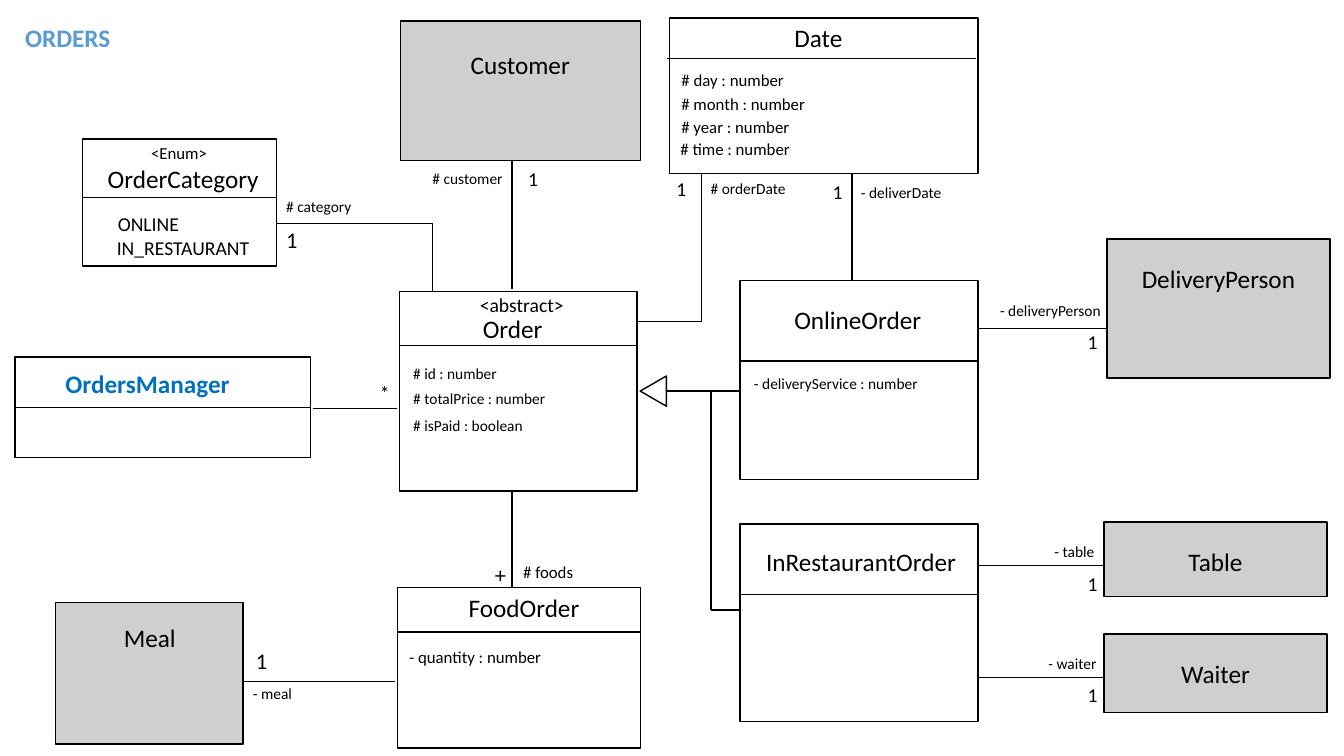
from lxml import etree
from pptx import Presentation
from pptx.dml.color import RGBColor
from pptx.enum import shapes, text
from pptx.oxml.ns import qn
from pptx.util import Inches, Pt

BLACK = RGBColor(0x00, 0x00, 0x00)
WHITE = RGBColor(0xFF, 0xFF, 0xFF)
GRAY = RGBColor(0xD0, 0xCE, 0xCE)
BLUE = RGBColor(0x00, 0x70, 0xC0)
LIGHT_BLUE = RGBColor(0x5B, 0x9B, 0xD5)

HEIGHTS = {18: 0.4, 16: 0.37, 14: 0.34, 12: 0.3, 11: 0.29}

# Each class: box, fill, divider offset (or None), labels.
# Label: dx, dy, width, wording, size, optional format values.
NO_WRAP = {"wrap": False}
CENTER = {"align": text.PP_ALIGN.CENTER}
CLASSES = [
    ((3.96, 2.89, 2.36, 1.98), WHITE, (0, 0.54), [
        (0.73, 0.17, 0.8, "Order", 18, NO_WRAP),
        (0.7, -0.03, 1.05, "<abstract>", 14, NO_WRAP),
        (0.04, 0.67, 2.07, "# id : number", 11),
        (0.04, 0.92, 2.07, "# totalPrice : number", 11),
        (0.04, 1.19, 2.07, "# isPaid : boolean", 11)]),
    ((0.15, 3.54, 2.93, 1), WHITE, (0, 0.5), [
        (0.4, 0.07, 1.84, "OrdersManager", 18,
         {"wrap": False, "bold": True, "color": BLUE})]),
    ((0.55, 5.98, 1.86, 1.4), GRAY, None, [
        (0.58, 0.14, 0.72, "Meal", 18, NO_WRAP)]),
    ((3.97, 0.21, 2.38, 1.38), GRAY, None, [
        (0.6, 0.23, 1.53, "Customer", 18)]),
    ((7.34, 5.2, 2.36, 1.96), WHITE, (0.01, 0.7), [
        (0.16, 0.17, 2.1, "InRestaurantOrder", 18, NO_WRAP)]),
    ((7.34, 2.78, 2.36, 1.98), WHITE, (0.01, 0.8), [
        (0.44, 0.19, 1.47, "OnlineOrder", 18, NO_WRAP),
        (0.04, 0.88, 2.13, "- deliveryService : number", 11)]),
    ((10.98, 2.37, 2.21, 1.38), GRAY, None, [
        (0, 0.19, 2.21, "DeliveryPerson", 18, CENTER)]),
    ((3.94, 5.83, 2.41, 1.59), WHITE, (0.01, 0.44), [
        (0.61, 0, 1.44, "FoodOrder", 18),
        (0.02, 0.54, 1.81, "- quantity : number", 12)]),
    ((10.95, 5.18, 2.21, 0.74), GRAY, None, [
        (0, 0.19, 2.21, "Table", 18, CENTER)]),
    ((10.95, 6.29, 2.21, 0.78), GRAY, None, [
        (0, 0.19, 2.21, "Waiter", 18, CENTER)]),
    ((0.82, 1.38, 1.92, 1.26), WHITE, (0, 0.58), [
        (0.15, 0.19, 1.71, "OrderCategory", 18, NO_WRAP),
        (0.58, -0.01, 0.92, "<Enum>", 12),
        (0.25, 0.67, 1.25, "ONLINE", 14),
        (0.24, 0.91, 1.62, "IN_RESTAURANT", 14)]),
    ((6.64, 0.18, 3.06, 1.54), WHITE, (-0.02, 0.4), [
        (1.14, -0.01, 1.55, "Date", 18),
        (0.02, 0.46, 1.59, "# day : number", 12),
        (0.02, 0.7, 1.87, "# month : number", 12),
        (0.02, 0.93, 1.66, "# year : number", 12),
        (0.01, 1.15, 1.88, "# time : number", 12)]),
]

# Each association: corner points of its line, then labels offset from the first point.
ASSOCIATIONS = [
    ([(2.41, 6.76), (3.92, 6.76)],
     [(0.03, -0.39, 0.31, "1", 16), (0, -0.02, 0.75, "- meal", 11)]),
    ([(3.1, 4.05), (3.94, 4.05)], [(0.57, -0.32, 0.35, "*", 14)]),
    ([(9.71, 3.26), (10.98, 3.26)],
     [(0.98, -0.04, 0.3, "1", 14), (0.11, -0.32, 1.24, "- deliveryPerson", 11)]),
    ([(5.08, 1.59), (5.08, 2.87)],
     [(-0.89, 0.04, 1.22, "# customer", 11), (0.06, 0.02, 0.39, "1", 14)]),
    ([(5.08, 4.87), (5.08, 5.83)],
     [(-0.27, 0.65, 0.35, "+", 16), (0.01, 0.65, 1.81, "# foods", 12)]),
    ([(9.7, 5.61), (10.95, 5.61)],
     [(0.99, 0.01, 0.3, "1", 14), (0.66, -0.28, 1.18, "- table", 11)]),
    ([(9.7, 6.72), (10.95, 6.72)],
     [(0.99, 0.01, 0.3, "1", 14), (0.6, -0.28, 1.18, "- waiter", 11)]),
    ([(2.74, 2.22), (4.29, 2.22), (4.29, 2.89)],
     [(0, -0.03, 0.31, "1", 16), (0, -0.31, 0.9, "# category", 11)]),
    ([(6.96, 1.72), (6.96, 3.19), (6.32, 3.19)],
     [(-0.35, -0.01, 0.3, "1", 14), (-0.01, 0.01, 1, "# orderDate", 11)]),
    ([(8.45, 1.73), (8.45, 2.78)],
     [(-0.29, 0.01, 0.3, "1", 14), (-0.01, 0.04, 1.09, "- deliverDate", 11)]),
]


def add_label(slide, x, y, w, wording, size, style=None):
    style = style or {}
    sp = slide.shapes.add_textbox(*map(Inches, (x, y, w, HEIGHTS[size])))
    tf = sp.text_frame
    tf.word_wrap = style.get("wrap", True)
    tf.auto_size = text.MSO_AUTO_SIZE.SHAPE_TO_FIT_TEXT
    p = tf.paragraphs[0]
    p.alignment = style.get("align")
    r = p.add_run()
    r.text = wording
    font = {"name": "Calibri", "size": Pt(size), "bold": style.get("bold")}
    for name, value in font.items():
        setattr(r.font, name, value)
    r.font.color.rgb = style.get("color", BLACK)


def add_labels(slide, x, y, labels):
    for dx, dy, *rest in labels:
        add_label(slide, x + dx, y + dy, *rest)


def add_line(slide, start, end):
    sp = slide.shapes.add_connector(
        shapes.MSO_CONNECTOR.STRAIGHT, *map(Inches, (*start, *end)))
    sp.line.color.rgb = BLACK
    sp.line.width = Pt(1)
    etree.SubElement(sp._element.spPr, qn("a:effectLst"))


def add_outline(slide, kind, box, fill):
    sp = slide.shapes.add_shape(kind, *map(Inches, box))
    sp.shadow.inherit = False
    sp.fill.solid()
    sp.fill.fore_color.rgb = fill
    sp.line.color.rgb = BLACK
    sp.line.width = Pt(1)
    return sp


def add_class(slide, box, fill, divider, labels):
    x, y, w, _ = box
    add_outline(slide, shapes.MSO_SHAPE.RECTANGLE, box, fill)
    if divider:
        dx, dy = divider
        add_line(slide, (x + dx, y + dy), (x + dx + w, y + dy))
    add_labels(slide, x, y, labels)


def add_association(slide, points, labels):
    for start, end in zip(points, points[1:]):
        add_line(slide, start, end)
    add_labels(slide, *points[0], labels)


def add_inheritance(slide, x, y):
    """Triangle pointing left at (x, y), with a branch to both subclasses."""
    w, h = 0.3, 0.26
    sp = add_outline(slide, shapes.MSO_SHAPE.ISOSCELES_TRIANGLE,
                     (x + (h - w) / 2, y - h / 2, w, h), WHITE)
    sp.rotation = 270
    branch, subclass, lower = x + 0.7, x + 0.99, y + 2.17
    add_line(slide, (x + h, y), (subclass, y))
    add_line(slide, (branch, y), (branch, lower))
    add_line(slide, (branch, lower), (subclass, lower))


def main():
    prs = Presentation()
    prs.slide_width, prs.slide_height = Inches(13.33), Inches(7.5)
    slide = prs.slides.add_slide(prs.slide_layouts[6])
    # Heading
    add_label(slide, 0.15, 0.17, 1.05, "ORDERS", 18,
              {"wrap": False, "bold": True, "color": LIGHT_BLUE})
    # Classes
    for entry in CLASSES:
        add_class(slide, *entry)
    # Relations
    add_inheritance(slide, 6.35, 3.88)
    for entry in ASSOCIATIONS:
        add_association(slide, *entry)
    prs.save("out.pptx")


if __name__ == "__main__":
    main()
